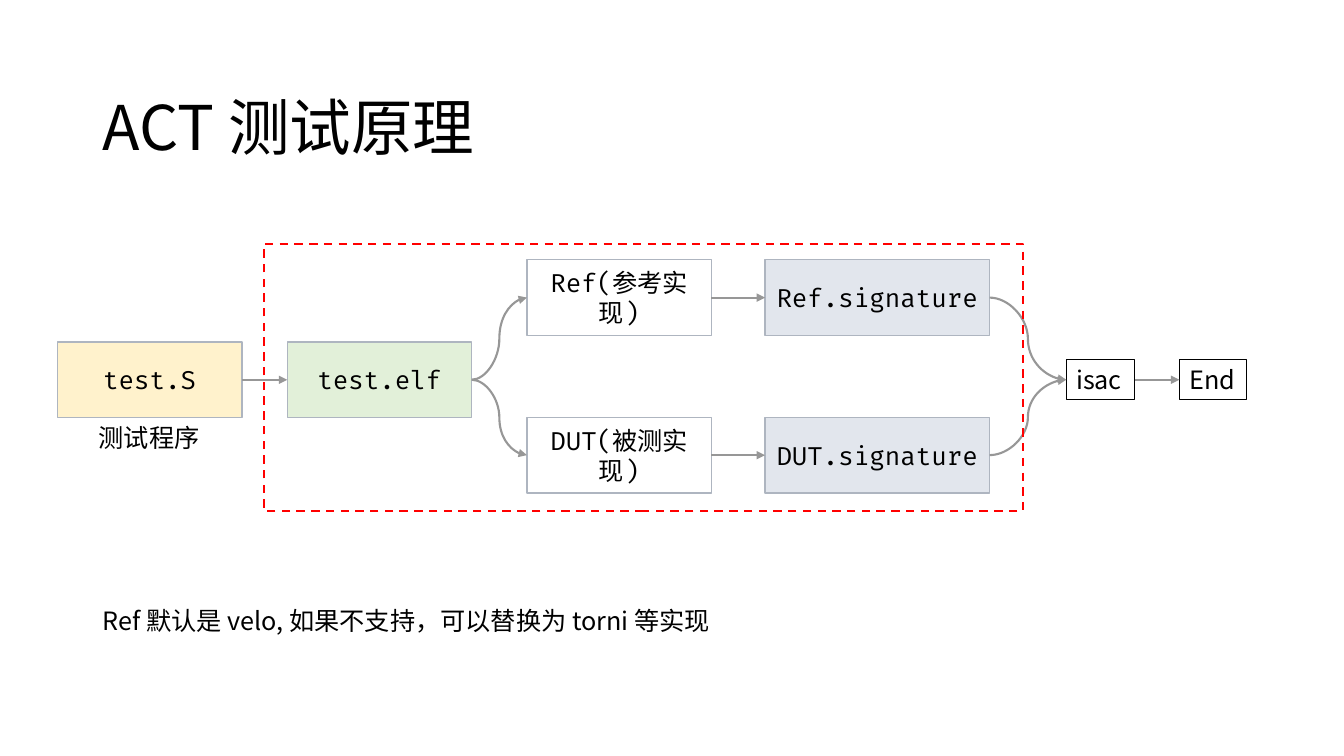
from lxml.etree import SubElement
from pptx import Presentation
from pptx.dml.color import RGBColor
from pptx.enum.dml import MSO_LINE
from pptx.enum.shapes import MSO_CONNECTOR, MSO_SHAPE
from pptx.enum.text import MSO_ANCHOR, MSO_AUTO_SIZE, PP_ALIGN
from pptx.oxml.ns import qn
from pptx.util import Cm, Pt

BLACK = RGBColor(0x00, 0x00, 0x00)
RED = RGBColor(0xFF, 0x00, 0x00)
GREY = RGBColor(0x97, 0x97, 0x97)
BORDER = RGBColor(0xAE, 0xB5, 0xC0)
YELLOW = RGBColor(0xFF, 0xF2, 0xCC)
GREEN = RGBColor(0xE2, 0xF0, 0xD9)
BLUE = RGBColor(0xE2, 0xE6, 0xED)

CODE, SANS, TITLE_FONT = "Fira Code", "Noto Sans CJK SC", "Noto Sans CJK JP"
MIDDLE, UPPER, LOWER = 9.57, 7.5, 11.47
STEP_W, SIGNATURE_W, BOX_H, END_H = 4.65, 5.66, 1.91, 1.02

TITLE = "ACT 测试原理"
STEPS = {
    "source": ("test.S", 1.45, MIDDLE, STEP_W, YELLOW),
    "elf": ("test.elf", 7.24, MIDDLE, STEP_W, GREEN),
    "ref": ("Ref(参考实现)", 13.28, UPPER, STEP_W, None),
    "dut": ("DUT(被测实现)", 13.28, LOWER, STEP_W, None),
    "ref_sig": ("Ref.signature", 19.28, UPPER, SIGNATURE_W, BLUE),
    "dut_sig": ("DUT.signature", 19.28, LOWER, SIGNATURE_W, BLUE),
}
FINAL_STEPS = {"isac": ("isac", 26.87, 1.73), "end": ("End", 29.72, 1.7)}
LINKS = [
    ("source", "elf"), ("elf", "ref"), ("elf", "dut"),
    ("ref", "ref_sig"), ("dut", "dut_sig"),
    ("ref_sig", "isac"), ("dut_sig", "isac"), ("isac", "end"),
]
LABELS = [
    ("测试程序", 2.24, 10.52, 3.05, CODE, False),
    ("Ref 默认是 velo, 如果不支持，可以替换为 torni 等实现", 2.34, 15.14, 16.1, SANS, True),
]
FRAME = (6.65, 6.15, 19.13, 6.73)


def write(sp, text, font, size=18, align=PP_ALIGN.LEFT, anchor=MSO_ANCHOR.MIDDLE, wrap=True):
    """Put one formatted paragraph into a shape."""
    tf = sp.text_frame
    tf.text = text
    tf.word_wrap = wrap
    tf.auto_size = MSO_AUTO_SIZE.NONE
    tf.vertical_anchor = anchor
    p = tf.paragraphs[0]
    p.alignment = align
    r = p.runs[0]
    r.font.size = Pt(size)
    r.font.name = font
    r.font.color.rgb = BLACK
    east_asian = TITLE_FONT if font == TITLE_FONT else SANS
    SubElement(r._r.get_or_add_rPr(), qn("a:ea"), typeface=east_asian)
    return p


def add_box(s, left, top, width, height, fill, line, weight):
    """Add an outlined rectangle without shadow."""
    sp = s.shapes.add_shape(MSO_SHAPE.RECTANGLE, Cm(left), Cm(top), Cm(width), Cm(height))
    sp.shadow.inherit = False
    if fill is None:
        sp.fill.background()
    else:
        sp.fill.solid()
        sp.fill.fore_color.rgb = fill
    sp.line.color.rgb = line
    sp.line.width = Pt(weight)
    return sp


def add_arrow(s, start, end):
    """Link the right side of one box to the left side of another."""
    level = abs(start.top + start.height / 2 - end.top - end.height / 2) < Cm(0.1)
    kind = MSO_CONNECTOR.STRAIGHT if level else MSO_CONNECTOR.CURVE
    cxn = s.shapes.add_connector(kind, 0, 0, 0, 0)
    cxn.begin_connect(start, 3)
    cxn.end_connect(end, 1)
    cxn.line.color.rgb = GREY
    cxn.line.width = Pt(1.5)
    SubElement(cxn.line._get_or_add_ln(), qn("a:tailEnd"), type="triangle")
    SubElement(cxn._element.spPr, qn("a:effectLst"))


def main():
    """Build the test flow slide and save it."""
    prs = Presentation()
    prs.slide_width, prs.slide_height = Cm(33.87), Cm(19.05)
    s = prs.slides.add_slide(prs.slide_layouts[5])

    title = s.shapes.title
    title.left, title.top, title.width, title.height = Cm(2.33), Cm(1.45), Cm(29.21), Cm(3.68)
    write(title, TITLE, TITLE_FONT, 44).line_spacing = 0.9

    boxes = {}
    for key, (text, left, middle, width, fill) in STEPS.items():
        boxes[key] = add_box(s, left, middle - BOX_H / 2, width, BOX_H, fill, BORDER, 1)
        write(boxes[key], text, CODE, align=PP_ALIGN.CENTER)
    for key, (text, left, width) in FINAL_STEPS.items():
        boxes[key] = add_box(s, left, MIDDLE - END_H / 2, width, END_H, None, BLACK, 0.75)
        write(boxes[key], text, SANS, wrap=False)
    for start, end in LINKS:
        add_arrow(s, boxes[start], boxes[end])

    frame = add_box(s, *FRAME, None, RED, 1.5)
    frame.line.dash_style = MSO_LINE.DASH

    for text, left, top, width, font, wrap in LABELS:
        sp = s.shapes.add_textbox(Cm(left), Cm(top), Cm(width), Cm(END_H))
        write(sp, text, font, anchor=MSO_ANCHOR.TOP, wrap=wrap)

    prs.save("out.pptx")


if __name__ == "__main__":
    main()
